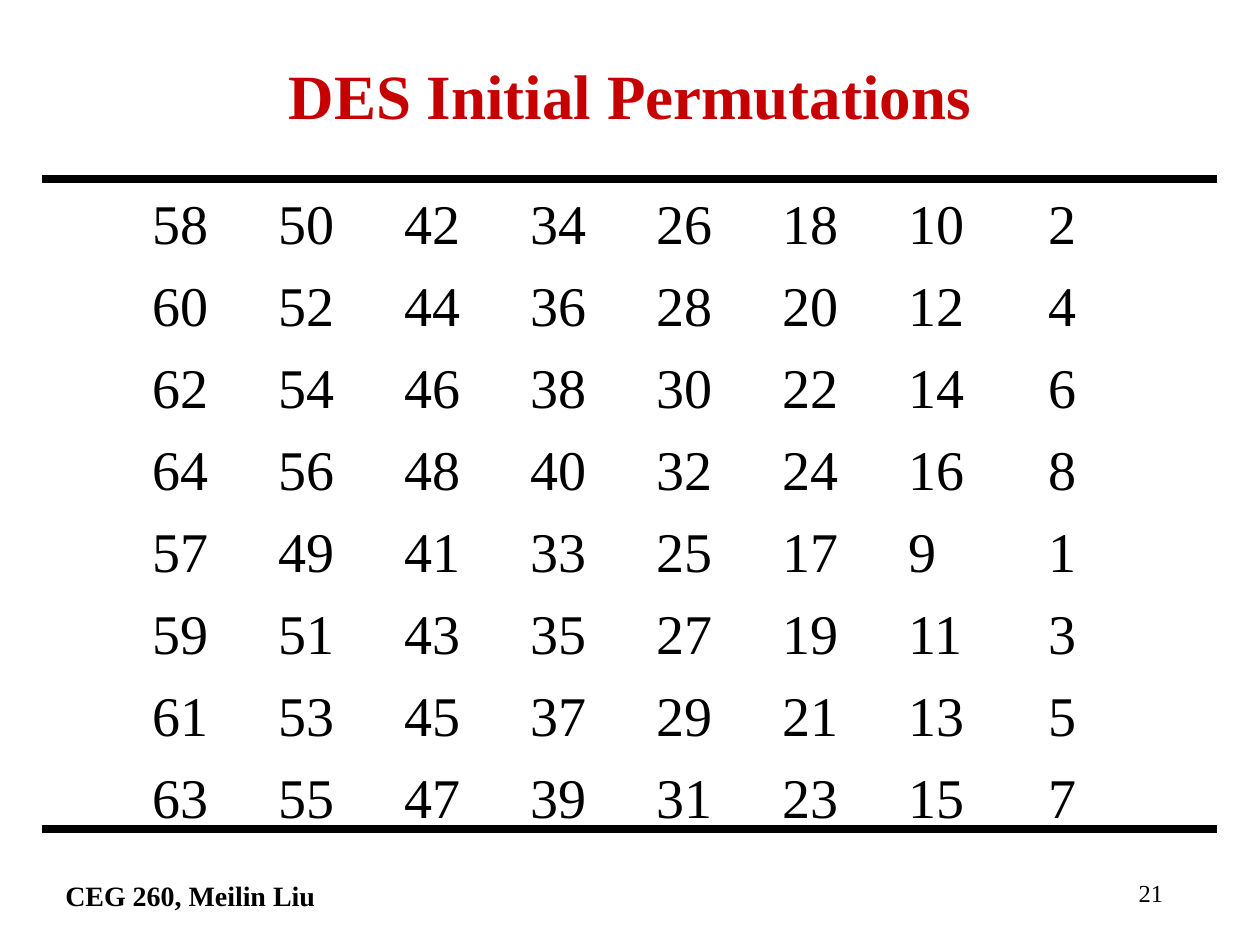
from pptx import Presentation
from pptx.dml.color import RGBColor
from pptx.enum.shapes import MSO_CONNECTOR as Connector
from pptx.enum.text import MSO_ANCHOR as Anchor, PP_ALIGN as Align
from pptx.oxml.ns import qn
from pptx.util import Inches, Pt
from lxml.etree import SubElement

BLACK = RGBColor(0x00, 0x00, 0x00)
RED = RGBColor(0xC6, 0x00, 0x00)
FONT = "Times New Roman"
COLUMNS = ROWS = 8

deck = Presentation()
deck.slide_width, deck.slide_height = Inches(10), Inches(7.5)
slide = deck.slides.add_slide(deck.slide_layouts[6])


def add_text(left, top, width, height, lines, size, color=BLACK, bold=False,
             align=Align.LEFT, anchor=Anchor.TOP):
    box = slide.shapes.add_textbox(*map(Inches, (left, top, width, height)))
    frame = box.text_frame
    frame.word_wrap = True
    frame.vertical_anchor = anchor
    for index, line in enumerate(lines):
        paragraph = frame.paragraphs[0] if index == 0 else frame.add_paragraph()
        paragraph.alignment = align
        run = paragraph.add_run()
        run.text = line
        run.font.name, run.font.size, run.font.bold = FONT, Pt(size), bold
        run.font.color.rgb = color
    return frame.paragraphs


# Footer and slide number
add_text(0.42, 6.92, 6.33, 0.42, ["CEG 260, Meilin Liu"], 16, bold=True)
add_text(7.25, 6.92, 2.08, 0.42, ["21"], 14, align=Align.RIGHT)

# Title
add_text(0.75, 0.33, 8.5, 0.83, ["DES Initial Permutations"], 36, RED, True,
         Align.CENTER, Anchor.MIDDLE)

# Permutation: each row steps down by 8; even bits come first, then odd bits
row_starts = [*range(58, 65, 2), *range(57, 64, 2)]
permutation = []
for start in row_starts:
    *bits, last_bit = [start - 8 * column for column in range(COLUMNS)]
    permutation.append("\t".join(map(str, bits)) + f"\t {last_bit}")

# Permutation rows, with a tab stop at every inch
for row, paragraph in enumerate(add_text(1.11, 1.59, 7.71, 5.03, permutation, 32)):
    paragraph.line_spacing = 0.7
    paragraph.space_before = Pt(20 if row else 0)
    tab_stops = SubElement(paragraph._p.get_or_add_pPr(), qn("a:tabLst"))
    for column in range(COLUMNS):
        SubElement(tab_stops, qn("a:tab"), pos=str(Inches(column)), algn="l")

# Rules above and below the permutation
for y in (1.42, 6.58):
    rule = slide.shapes.add_connector(
        Connector.STRAIGHT, Inches(0.33), Inches(y), Inches(9.66), Inches(y))
    rule.line.color.rgb = BLACK
    rule.line.width = Pt(4.5)
    SubElement(rule._element.spPr, qn("a:effectLst"))

deck.save("out.pptx")
